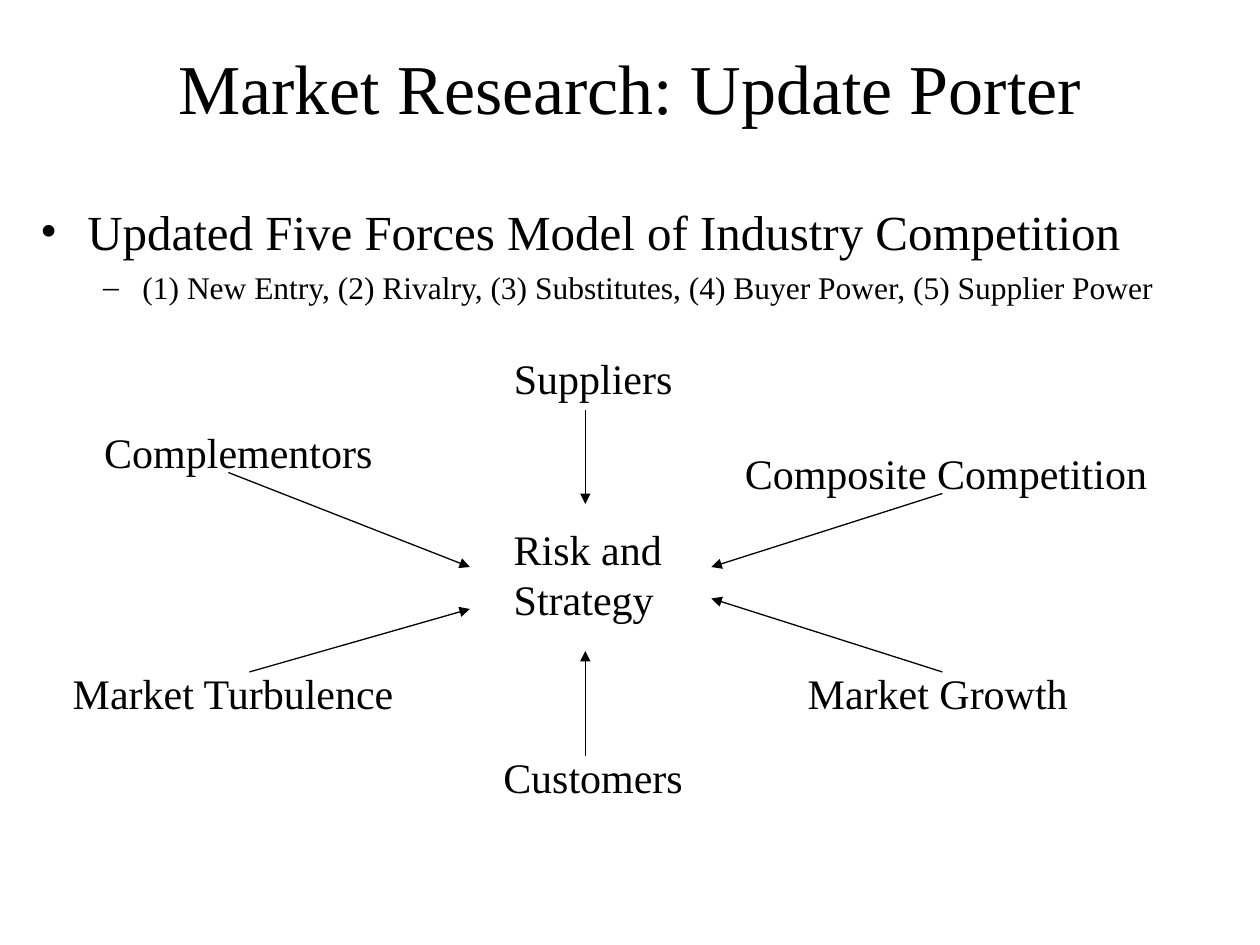
from dataclasses import dataclass

from lxml.etree import SubElement
from pptx import Presentation
from pptx.dml.color import RGBColor
from pptx.enum.shapes import MSO_CONNECTOR as Connector
from pptx.enum.text import MSO_ANCHOR as Anchor, PP_ALIGN as Align
from pptx.oxml.ns import qn
from pptx.slide import Slide
from pptx.text.text import TextFrame, _Paragraph as Paragraph
from pptx.util import Pt

BLACK = RGBColor(0, 0, 0)
WHITE = RGBColor(255, 255, 255)
FONT = "Times New Roman"


@dataclass(frozen=True)
class Label:
    text: str
    left: float
    top: float
    width: float
    height: float = 36


@dataclass(frozen=True)
class Arrow:
    start: tuple[float, float]
    end: tuple[float, float]


@dataclass(frozen=True)
class Bullet:
    text: str
    size: float
    symbol: str
    margin: float
    hanging: float
    level: int
    space_before: float


TITLE = Label("Market Research: Update Porter", 54, 4.5, 612, 90)
BODY = Label("", 15.84, 111.6, 690, 366)

BULLETS = [
    Bullet("Updated Five Forces Model of Industry Competition", 28, "•", 27, 27, 0, 0),
    Bullet(
        "(1) New Entry, (2) Rivalry, (3) Substitutes, (4) Buyer Power, (5) Supplier Power",
        18, "–", 58.5, 22.5, 1, 4.5,
    ),
]

LABELS = [
    Label("Suppliers", 286.5, 198, 120),
    Label("Risk and Strategy", 286.5, 295.5, 114, 65),
    Label("Customers", 280.5, 426, 126),
    Label("Complementors", 52.5, 240, 174),
    Label("Market Turbulence", 34.5, 378, 210),
    Label("Composite Competition", 418.5, 252, 264),
    Label("Market Growth", 454.5, 378, 186),
]

ARROWS = [
    Arrow((334.5, 234), (334.5, 288)),
    Arrow((334.5, 432), (334.5, 372)),
    Arrow((130.5, 270), (268.5, 324)),
    Arrow((538.5, 282), (406.5, 324)),
    Arrow((142.5, 384), (268.5, 348)),
    Arrow((538.5, 384), (406.5, 342)),
]


def format_text(para: Paragraph, size: float) -> None:
    for span in para.runs:
        span.font.name = FONT
        span.font.size = Pt(size)
        span.font.color.rgb = BLACK


def add_label(page: Slide, label: Label, size: float = 24) -> TextFrame:
    box = page.shapes.add_textbox(
        Pt(label.left), Pt(label.top), Pt(label.width), Pt(label.height)
    )
    frame = box.text_frame
    frame.word_wrap = True
    frame.text = label.text
    format_text(frame.paragraphs[0], size)
    return frame


def add_title(page: Slide) -> None:
    frame = add_label(page, TITLE, 40)
    frame.vertical_anchor = Anchor.MIDDLE
    frame.paragraphs[0].alignment = Align.CENTER


def add_bullets(page: Slide) -> None:
    frame = add_label(page, BODY)
    for index, bullet in enumerate(BULLETS):
        para = frame.add_paragraph() if index else frame.paragraphs[0]
        para.text = bullet.text
        para.level = bullet.level
        para.space_before = Pt(bullet.space_before)
        properties = para._p.get_or_add_pPr()
        properties.set("marL", str(Pt(bullet.margin)))
        properties.set("indent", str(-Pt(bullet.hanging)))
        SubElement(properties, qn("a:buFont"), typeface=FONT)
        SubElement(properties, qn("a:buChar"), char=bullet.symbol)
        format_text(para, bullet.size)


def add_arrow(page: Slide, arrow: Arrow) -> None:
    connector = page.shapes.add_connector(
        Connector.STRAIGHT, *map(Pt, arrow.start + arrow.end)
    )
    connector.line.color.rgb = BLACK
    connector.line.width = Pt(0.75)
    SubElement(connector.line._get_or_add_ln(), qn("a:tailEnd"), type="triangle")
    SubElement(connector._element.spPr, qn("a:effectLst"))


def main() -> None:
    deck = Presentation()
    deck.slide_width, deck.slide_height = Pt(720), Pt(540)
    page = deck.slides.add_slide(deck.slide_layouts[6])
    page.background.fill.solid()
    page.background.fill.fore_color.rgb = WHITE
    add_title(page)
    add_bullets(page)
    for label in LABELS:
        add_label(page, label)
    for arrow in ARROWS:
        add_arrow(page, arrow)
    deck.save("out.pptx")


if __name__ == "__main__":
    main()
